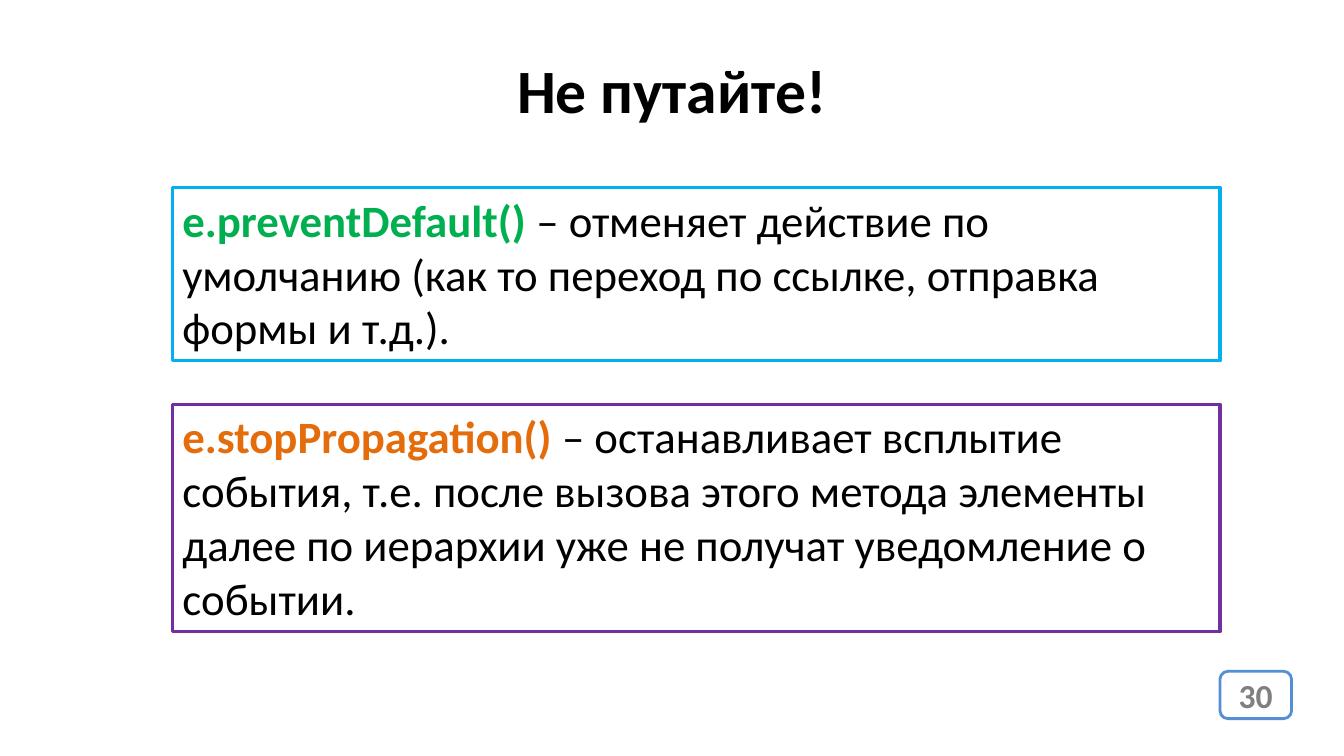
import pptx
import pptx.util
import pptx.dml.color
import pptx.enum.shapes
import pptx.enum.text

Inches = pptx.util.Inches
SHAPES = pptx.enum.shapes.MSO_SHAPE
ALIGN = pptx.enum.text.PP_ALIGN
ANCHOR = pptx.enum.text.MSO_ANCHOR

COLORS = {
    "white": "FFFFFF",
    "black": "000000",
    "gray": "808080",
    "blue": "558ED5",
    "cyan": "00B0F0",
    "purple": "7030A0",
    "green": "00B050",
    "orange": "E46C0A",
}


def rgb(color):
    """Return the RGB value of a named colour."""
    return pptx.dml.color.RGBColor.from_string(COLORS[color])


class SlideBuilder:
    """Holds the text style and the slide being filled."""

    font = "Calibri"

    def __init__(self, slide):
        """Keep the current slide."""
        self.slide = slide

    def add_words(self, shape, runs, size, align=ALIGN.LEFT, anchor=ANCHOR.TOP):
        """Fill a shape with one paragraph of (text, colour, bold) runs."""
        frame = shape.text_frame
        frame_format = {"word_wrap": True, "vertical_anchor": anchor}
        for key, value in frame_format.items():
            setattr(frame, key, value)
        paragraph = frame.paragraphs[0]
        paragraph.alignment = align
        for text, color, bold in runs:
            run = paragraph.add_run()
            run.text = text
            run_format = {"name": self.font, "size": pptx.util.Pt(size), "bold": bold}
            for key, value in run_format.items():
                setattr(run.font, key, value)
            run.font.color.rgb = rgb(color)

    def title(self, text, box):
        """Add a centred bold heading."""
        heading = self.slide.shapes.add_textbox(*map(Inches, box))
        self.add_words(heading, [(text, "black", True)], 44, ALIGN.CENTER)

    def frame(self, preset, box, line, width, fill=None):
        """Add an outlined shape, filled only if a colour is given."""
        outline = self.slide.shapes.add_shape(preset, *map(Inches, box))
        outline.shadow.inherit = False
        outline.line.color.rgb = rgb(line)
        outline.line.width = pptx.util.Pt(width)
        if fill:
            outline.fill.solid()
            outline.fill.fore_color.rgb = rgb(fill)
        else:
            outline.fill.background()
        return outline

    def definition(self, method, meaning, box, line, accent):
        """Add a framed explanation that opens with a coloured method name."""
        card = self.frame(SHAPES.RECTANGLE, box, line, 2.25)
        self.add_words(card, [(method + " ", accent, True), (meaning, "black", False)], 32)

    def page_number(self, number, box):
        """Add the page number in a rounded frame."""
        badge = self.frame(SHAPES.ROUNDED_RECTANGLE, box, "blue", 2, "white")
        self.add_words(badge, [(number, "gray", True)], 24, ALIGN.CENTER, ANCHOR.MIDDLE)


def main():
    """Build and save the slide."""
    deck = pptx.Presentation()
    deck.slide_width, deck.slide_height = Inches(13.33), Inches(7.5)
    builder = SlideBuilder(deck.slides.add_slide(deck.slide_layouts[6]))

    builder.page_number("30", (12.1, 6.66, 0.71, 0.47))
    builder.title("Не путайте!", (0, 0.47, 13.33, 0.84))

    definitions = [
        ("e.preventDefault()",
         "– отменяет действие по умолчанию (как то переход по ссылке, "
         "отправка формы и т.д.).",
         1.72, "cyan", "green"),
        ("e.stopPropagation()",
         "– останавливает всплытие события, т.е. после вызова этого метода "
         "элементы далее по иерархии уже не получат уведомление о событии.",
         2.26, "purple", "orange"),
    ]
    top, gap = 1.86, 0.43
    for method, meaning, height, line, accent in definitions:
        builder.definition(method, meaning, (1.71, top, 10.39, height), line, accent)
        top += height + gap

    deck.save("out.pptx")


main()
